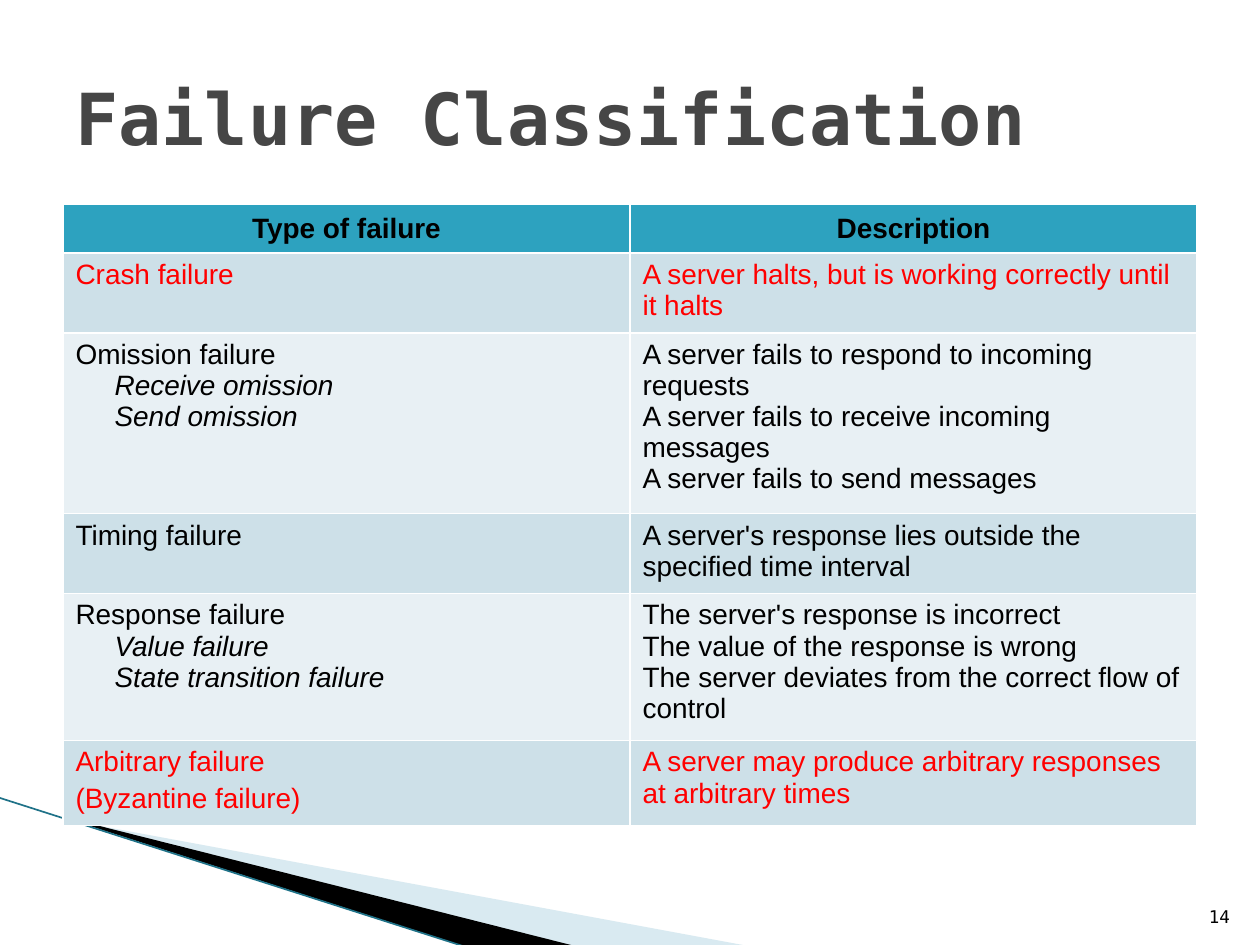
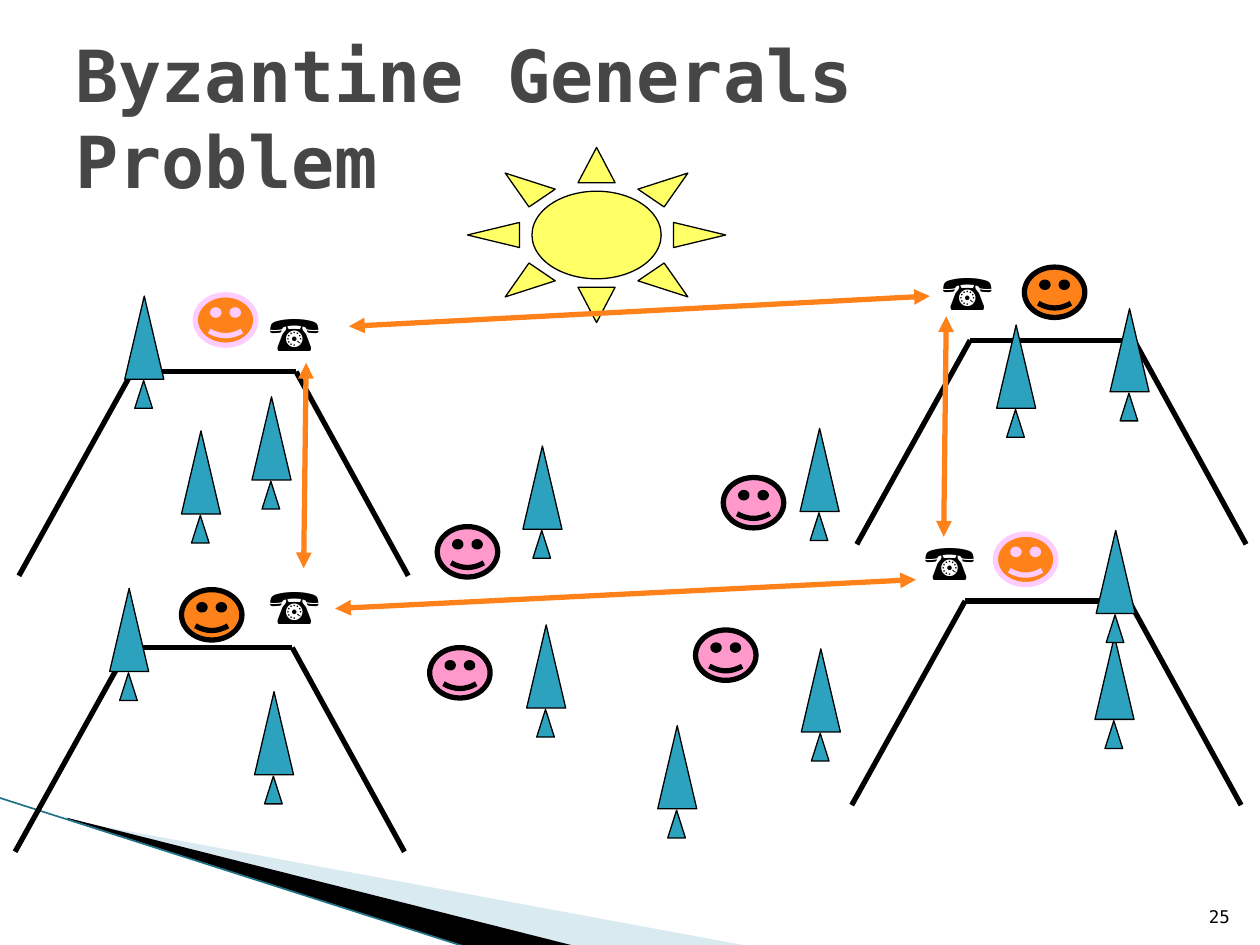
import pptx
import pptx.util
import pptx.dml.color
import pptx.enum.shapes
import pptx.enum.text
import pptx.oxml.ns
import pptx.oxml.xmlchemy

Inches = pptx.util.Inches
Pt = pptx.util.Pt
SHAPE = pptx.enum.shapes.MSO_SHAPE
ALIGN = pptx.enum.text.PP_ALIGN
ANCHOR = pptx.enum.text.MSO_ANCHOR
new_element = pptx.oxml.xmlchemy.OxmlElement

# ---- Shared style ----
BLACK, RED, TEAL, ORANGE, PINK = "000000", "FF0000", "2DA2BF", "FF8119", "FF99CC"
GREY, PALE_PINK, YELLOW = "464646", "FFCCFF", "FFFF66"
ROW_FILLS = ["CDE0E8", "E8F0F4"]
MONO = "DejaVu Sans Mono"

# Corner bands: outline, colour, opacity in percent
BANDS = [
    ([(0.55, 6.51), (5.95, 7.51), (4.56, 7.51), (0.55, 6.5)], "A0CBDC", 40),
    ([(0.53, 6.49), (4.57, 7.51), (3.72, 7.52), (0.54, 6.5)], BLACK, 100),
]
BAND_EDGE = ((-0.01, 6.33), (3.71, 7.52), "1F7288", 0.95)

# ---- Slide 1 content: failure, its subtypes, descriptions, colour, row height ----
HEADINGS, HEADING_HEIGHT = ["Type of failure", "Description"], 0.39
FAILURES = [
    (["Crash failure"], [],
     ["A server halts, but is working correctly until it halts"], RED, 0.6),
    (["Omission failure"], ["Receive omission", "Send omission"],
     ["A server fails to respond to incoming requests",
      "A server fails to receive incoming messages",
      "A server fails to send messages"], BLACK, 1.34),
    (["Timing failure"], [],
     ["A server's response lies outside the specified time interval"], BLACK, 0.59),
    (["Response failure"], ["Value failure", "State transition failure"],
     ["The server's response is incorrect",
      "The value of the response is wrong",
      "The server deviates from the correct flow of control"], BLACK, 1.09),
    (["Arbitrary failure", "(Byzantine failure)"], [],
     ["A server may produce arbitrary responses at arbitrary times"], RED, 0.63),
]

# ---- Slide 2 content ----
MOUNTAINS = [(7.66, 4.77), (7.7, 2.7), (1.02, 5.14), (1.05, 2.95)]  # left end of ridge
GENERALS = [(1.55, 2.34, ORANGE, PALE_PINK), (1.44, 4.68, ORANGE, BLACK),
            (8.13, 2.12, ORANGE, BLACK), (7.9, 4.24, ORANGE, PALE_PINK)]
SOLDIERS = [(x, y, PINK, BLACK)
            for x, y in [(5.74, 3.79), (3.41, 5.14), (5.52, 5), (3.47, 4.18)]]
SUN = (3.71, 1.17, 2.05, 1.39)
TREES = [(8.81, 2.45), (7.91, 2.58), (6.35, 3.4), (8.69, 5.05), (4.15, 3.54),
         (2.02, 5.49), (8.7, 4.21), (6.36, 5.15), (4.18, 4.96), (0.87, 4.67),
         (1.44, 3.42), (5.22, 5.76), (0.99, 2.35), (2, 3.15)]
PHONES = [(2.04, 2.35), (7.38, 2.03), (7.24, 4.17), (2.04, 4.52)]
CALLS = [((2.77, 2.59), (7.38, 2.35)), ((2.66, 4.83), (7.27, 4.6)),
         ((2.43, 2.88), (2.41, 4.51)), ((7.51, 2.51), (7.49, 4.26))]


# ---- Helpers ----
def rgb(value):
    return pptx.dml.color.RGBColor.from_string(value)


def paint(shape, fill, line=None, width=0.75):
    shape.shadow.inherit = False
    shape.fill.solid()
    shape.fill.fore_color.rgb = rgb(fill)
    if line:
        shape.line.color.rgb = rgb(line)
        shape.line.width = Pt(width)
    else:
        shape.line.fill.background()


def add_preset(shapes, preset, box, fill, width=0.75, line=BLACK):
    shape = shapes.add_shape(preset, *map(Inches, box))
    paint(shape, fill, line, width)


def add_line(shapes, start, end, color, width, arrows=False):
    line = shapes.add_connector(pptx.enum.shapes.MSO_CONNECTOR.STRAIGHT,
                                *map(Inches, start + end))
    line.line.color.rgb = rgb(color)
    line.line.width = Pt(width)
    properties = line._element.spPr
    if arrows:
        outline = properties.find(pptx.oxml.ns.qn("a:ln"))
        for tag in ("a:headEnd", "a:tailEnd"):
            end_mark = new_element(tag)
            end_mark.set("type", "triangle")
            outline.append(end_mark)
    properties.append(new_element("a:effectLst"))


def style(paragraph, size, font, color, bold=False, italic=False, align=ALIGN.LEFT):
    paragraph.alignment = align
    paragraph.font.size = Pt(size)
    paragraph.font.name = font
    paragraph.font.color.rgb = rgb(color)
    paragraph.font.bold = bold
    paragraph.font.italic = italic


def add_text(slide, text, box, anchor, wrap=True, **look):
    frame = slide.shapes.add_textbox(*map(Inches, box)).text_frame
    frame.word_wrap = wrap
    frame.vertical_anchor = anchor
    frame.text = text
    style(frame.paragraphs[0], **look)


def add_base(deck, number):
    """A blank slide with the corner bands and its number."""
    slide = deck.slides.add_slide(deck.slide_layouts[6])
    for outline, color, opacity in BANDS:
        points = [(Inches(x), Inches(y)) for x, y in outline]
        builder = slide.shapes.build_freeform(*points[0], scale=1.0)
        builder.add_line_segments(points[1:], close=True)
        band = builder.convert_to_shape()
        paint(band, color)
        if opacity < 100:
            tint = next(band._element.spPr.iter(pptx.oxml.ns.qn("a:srgbClr")))
            alpha = new_element("a:alpha")
            alpha.set("val", str(opacity * 1000))
            tint.append(alpha)
    add_line(slide.shapes, *BAND_EDGE)
    add_text(slide, str(number), (9.46, 7.01, 0.4, 0.4), ANCHOR.BOTTOM,
             size=10, font=MONO, color=BLACK, align=ALIGN.RIGHT)
    return slide


def add_title(slide, title):
    add_text(slide, title, (0.5, 0.3, 9, 1.25), ANCHOR.MIDDLE,
             size=41, font=MONO, color=GREY, bold=True)


def fill_cell(cell, lines, fill, color, sublines=(), gap=0, **look):
    cell.fill.solid()
    cell.fill.fore_color.rgb = rgb(fill)
    cell.text = "\n".join([*lines, *sublines])
    for i, paragraph in enumerate(cell.text_frame.paragraphs):
        is_sub = i >= len(lines)
        style(paragraph, 16, "Arial", color, italic=is_sub, **look)
        paragraph.space_before = Pt(gap if i else 0)
        if is_sub:
            paragraph._p.get_or_add_pPr().set("marL", str(Inches(0.31)))


# ---- Slides ----
def build_failures(deck):
    slide = add_base(deck, 14)
    add_title(slide, "Failure Classification")
    heights = [HEADING_HEIGHT] + [failure[-1] for failure in FAILURES]
    table = slide.shapes.add_table(len(heights), len(HEADINGS), Inches(0.5), Inches(1.62),
                                   Inches(9), Inches(sum(heights))).table
    for row, height in zip(table.rows, heights):
        row.height = Inches(height)
    for column, heading in enumerate(HEADINGS):
        cell = table.cell(0, column)
        cell.vertical_anchor = ANCHOR.MIDDLE
        fill_cell(cell, [heading], TEAL, BLACK, bold=True, align=ALIGN.CENTER)
    for i, (kinds, subtypes, descriptions, color, _) in enumerate(FAILURES):
        fill = ROW_FILLS[i % 2]
        fill_cell(table.cell(i + 1, 0), kinds, fill, color, subtypes,
                  gap=3 if len(kinds) > 1 else 0)
        fill_cell(table.cell(i + 1, 1), descriptions, fill, color)


def build_generals(deck):
    slide = add_base(deck, 25)

    # Mountains: a ridge and two slopes
    for x, y in MOUNTAINS:
        mountain = slide.shapes.add_group_shape().shapes
        left, right = (x, y), (x + 1.3, y)
        for start, end in [(left, right), (right, (x + 2.19, y + 1.62)),
                           (left, (x - 0.9, y + 1.62))]:
            add_line(mountain, start, end, BLACK, 3)

    add_title(slide, "Byzantine Generals Problem")
    for x, y, fill, line in GENERALS + SOLDIERS:
        add_preset(slide.shapes, SHAPE.SMILEY_FACE, (x, y, 0.48, 0.4), fill, 3, line)
    add_preset(slide.shapes, SHAPE.SUN, SUN, YELLOW)

    # Trees: a crown over a small trunk
    for x, y in TREES:
        tree = slide.shapes.add_group_shape().shapes
        for box in [(x, y, 0.31, 0.66), (x + 0.08, y + 0.67, 0.14, 0.22)]:
            add_preset(tree, SHAPE.ISOSCELES_TRIANGLE, box, TEAL)

    # Phones and the calls between them
    for x, y in PHONES:
        add_text(slide, "☎", (x, y, 0.62, 0.57), ANCHOR.TOP, wrap=False,
                 size=28, font="Times New Roman", color=BLACK)
    for start, end in CALLS:
        add_line(slide.shapes, start, end, ORANGE, 3, arrows=True)


def main():
    deck = pptx.Presentation()
    deck.slide_width, deck.slide_height = Inches(10), Inches(7.5)
    build_failures(deck)
    build_generals(deck)
    deck.save("out.pptx")


if __name__ == "__main__":
    main()
